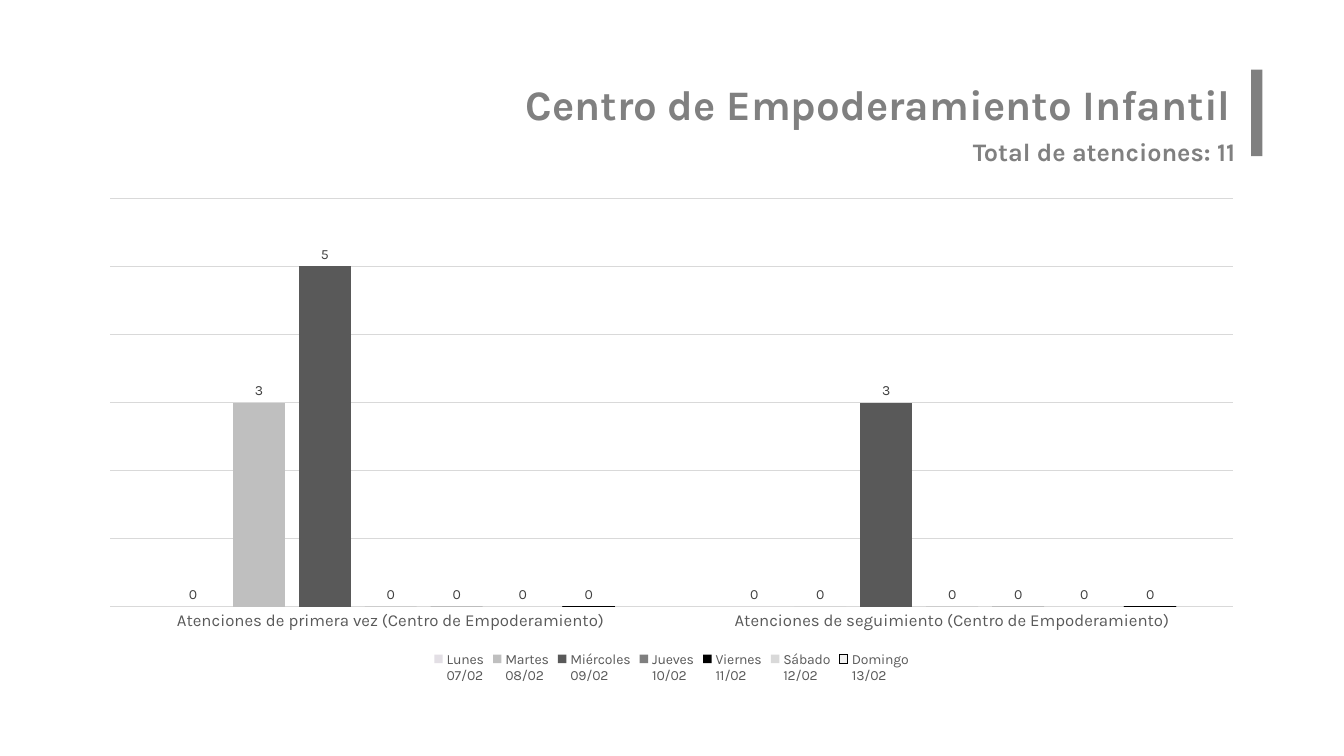
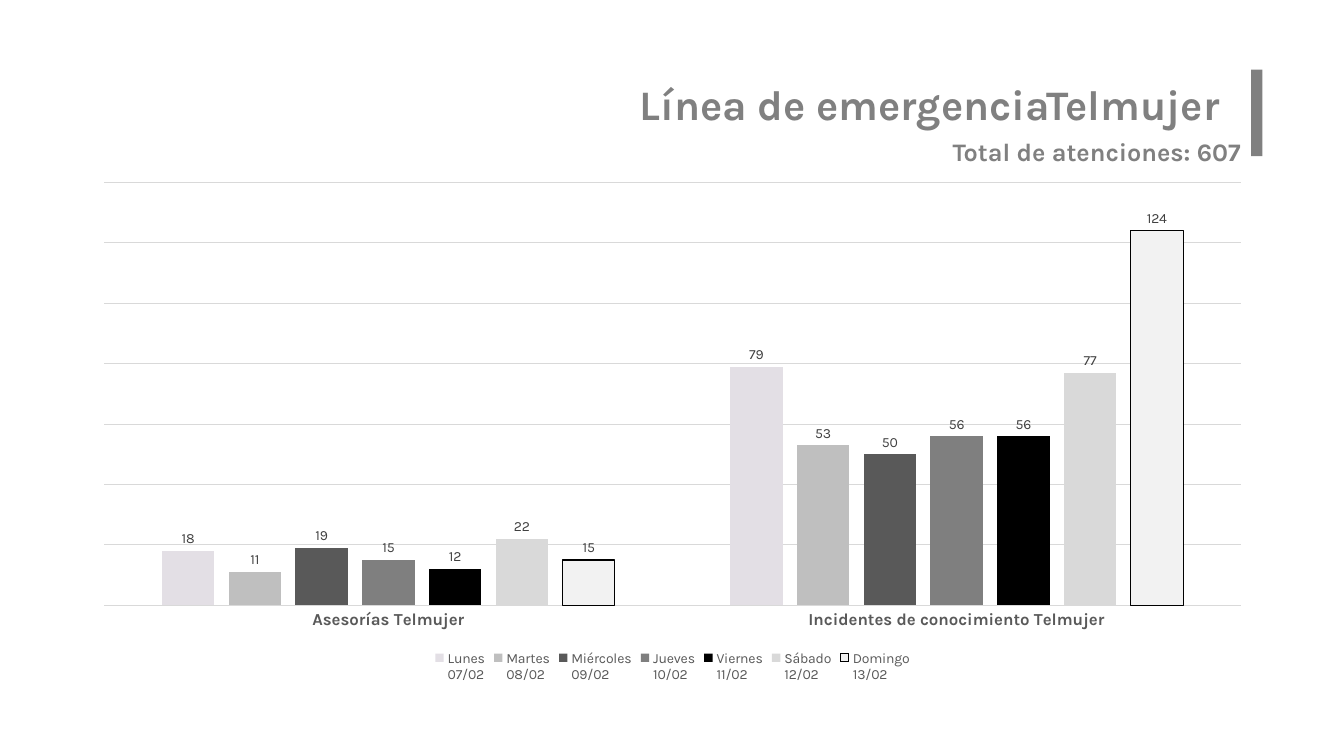
from dataclasses import dataclass

from pptx import Presentation
from pptx.chart.data import CategoryChartData
from pptx.dml.color import RGBColor
from pptx.enum.chart import XL_CHART_TYPE, XL_LABEL_POSITION, XL_LEGEND_POSITION, XL_TICK_MARK
from pptx.enum.shapes import MSO_SHAPE
from pptx.enum.text import MSO_ANCHOR, MSO_AUTO_SIZE, PP_ALIGN
from pptx.util import Emu, Pt

# Scale: 100 px to the inch
EMU_PER_PX = 9144

# Shared style
FONT = "Karla"
HEADING = RGBColor(0x80, 0x80, 0x80)
AXIS_TEXT = RGBColor(0x59, 0x59, 0x59)
LABEL_TEXT = RGBColor(0x40, 0x40, 0x40)
GRID = RGBColor(0xD9, 0xD9, 0xD9)
BLACK = RGBColor(0x00, 0x00, 0x00)
LILAC = RGBColor(0xE3, 0xDF, 0xE5)
SILVER = RGBColor(0xBF, 0xBF, 0xBF)
CHARCOAL = RGBColor(0x59, 0x59, 0x59)
MID_GREY = RGBColor(0x7F, 0x7F, 0x7F)
PALE_GREY = RGBColor(0xF2, 0xF2, 0xF2)


@dataclass(frozen=True)
class Box:
    left: int
    top: int
    width: int
    height: int

    def emu(self) -> tuple:
        return tuple(px(n) for n in (self.left, self.top, self.width, self.height))


@dataclass(frozen=True)
class Day:
    name: str
    fill: RGBColor
    outlined: bool = False


@dataclass(frozen=True)
class Report:
    title: str
    title_box: Box
    total: str
    total_box: Box
    chart_box: Box
    counts: dict
    axis_max: int
    axis_step: int
    bold_categories: bool = False


ACCENT_BAR = Box(1241, 69, 11, 86)

DAYS = (
    Day("Lunes\n07/02", LILAC),
    Day("Martes\n08/02", SILVER),
    Day("Miércoles\n09/02", CHARCOAL),
    Day("Jueves\n10/02", MID_GREY),
    Day("Viernes\n11/02", BLACK),
    Day("Sábado\n12/02", GRID),
    Day("Domingo\n13/02", PALE_GREY, outlined=True),
)

REPORTS = (
    Report(
        title="Centro de Empoderamiento Infantil",
        title_box=Box(214, 68, 1027, 87),
        total="Total de atenciones: 11",
        total_box=Box(955, 130, 286, 40),
        chart_box=Box(86, 187, 1160, 495),
        counts={
            "Atenciones de primera vez (Centro de Empoderamiento)": (0, 3, 5, 0, 0, 0, 0),
            "Atenciones de seguimiento (Centro de Empoderamiento)": (0, 0, 3, 0, 0, 0, 0),
        },
        axis_max=6,
        axis_step=1,
    ),
    Report(
        title="Línea de emergenciaTelmujer",
        title_box=Box(203, 68, 1027, 87),
        total="Total de atenciones: 607",
        total_box=Box(935, 130, 306, 40),
        chart_box=Box(80, 171, 1174, 510),
        counts={
            "Asesorías Telmujer": (18, 11, 19, 15, 12, 22, 15),
            "Incidentes de conocimiento Telmujer": (79, 53, 50, 56, 56, 77, 124),
        },
        axis_max=140,
        axis_step=20,
        bold_categories=True,
    ),
)


def px(length: int) -> Emu:
    return Emu(length * EMU_PER_PX)


def style_font(font, size: int, color: RGBColor, bold: bool = False) -> None:
    font.name = FONT
    font.size = Pt(size)
    font.bold = bold
    font.color.rgb = color


def write_heading(shape, text: str, size: int, align: PP_ALIGN, inset: tuple) -> None:
    """Fill a title or text box with one bold grey line."""
    frame = shape.text_frame
    frame.word_wrap = True
    frame.auto_size = MSO_AUTO_SIZE.NONE
    frame.vertical_anchor = MSO_ANCHOR.TOP
    across, down = (px(n) for n in inset)
    frame.margin_left = frame.margin_right = across
    frame.margin_top = frame.margin_bottom = down
    paragraph = frame.paragraphs[0]
    paragraph.alignment = align
    run = paragraph.add_run()
    run.text = text
    style_font(run.font, size, HEADING, bold=True)


def add_header(slide, report: Report) -> None:
    # Title
    title = slide.shapes.title
    title.left, title.top, title.width, title.height = report.title_box.emu()
    write_heading(title, report.title, 30, PP_ALIGN.RIGHT, (20, 10))

    # Accent bar
    bar = slide.shapes.add_shape(MSO_SHAPE.RECTANGLE, *ACCENT_BAR.emu())
    bar.shadow.inherit = False
    bar.fill.solid()
    bar.fill.fore_color.rgb = HEADING
    bar.line.fill.background()

    # Total
    total = slide.shapes.add_textbox(*report.total_box.emu())
    write_heading(total, report.total, 18, PP_ALIGN.LEFT, (10, 5))


def style_series(series, day: Day) -> None:
    series.format.fill.solid()
    series.format.fill.fore_color.rgb = day.fill
    if day.outlined:
        series.format.line.color.rgb = BLACK
        series.format.line.width = Pt(0.75)
    else:
        series.format.line.fill.background()
    labels = series.data_labels
    labels.show_value = True
    labels.position = XL_LABEL_POSITION.OUTSIDE_END
    style_font(labels.font, 10, LABEL_TEXT)


def style_axes(chart, report: Report) -> None:
    categories = chart.category_axis
    categories.major_tick_mark = XL_TICK_MARK.NONE
    categories.minor_tick_mark = XL_TICK_MARK.NONE
    style_font(categories.tick_labels.font, 12, AXIS_TEXT, report.bold_categories)

    values = chart.value_axis
    values.minimum_scale = 0
    values.maximum_scale = report.axis_max
    values.major_unit = report.axis_step
    values.has_major_gridlines = True
    values.visible = False

    for line in (categories.format.line, values.major_gridlines.format.line):
        line.color.rgb = GRID
        line.width = Pt(0.75)


def add_daily_chart(slide, report: Report) -> None:
    data = CategoryChartData()
    data.categories = list(report.counts)
    for day, daily_counts in zip(DAYS, zip(*report.counts.values())):
        data.add_series(day.name, daily_counts)
    chart = slide.shapes.add_chart(
        XL_CHART_TYPE.COLUMN_CLUSTERED, *report.chart_box.emu(), data
    ).chart
    chart.has_title = False
    style_font(chart.font, 10, BLACK)

    # Columns
    plot = chart.plots[0]
    plot.vary_by_categories = False
    plot.gap_width = 219
    plot.overlap = -27
    for series, day in zip(plot.series, DAYS):
        style_series(series, day)

    style_axes(chart, report)

    # Legend
    chart.has_legend = True
    chart.legend.position = XL_LEGEND_POSITION.BOTTOM
    chart.legend.include_in_layout = False
    style_font(chart.legend.font, 10, AXIS_TEXT)


def main() -> None:
    deck = Presentation()
    deck.slide_width, deck.slide_height = px(1333), px(750)
    title_only = deck.slide_layouts[5]
    for report in REPORTS:
        slide = deck.slides.add_slide(title_only)
        add_header(slide, report)
        add_daily_chart(slide, report)
    deck.save("out.pptx")


if __name__ == "__main__":
    main()
